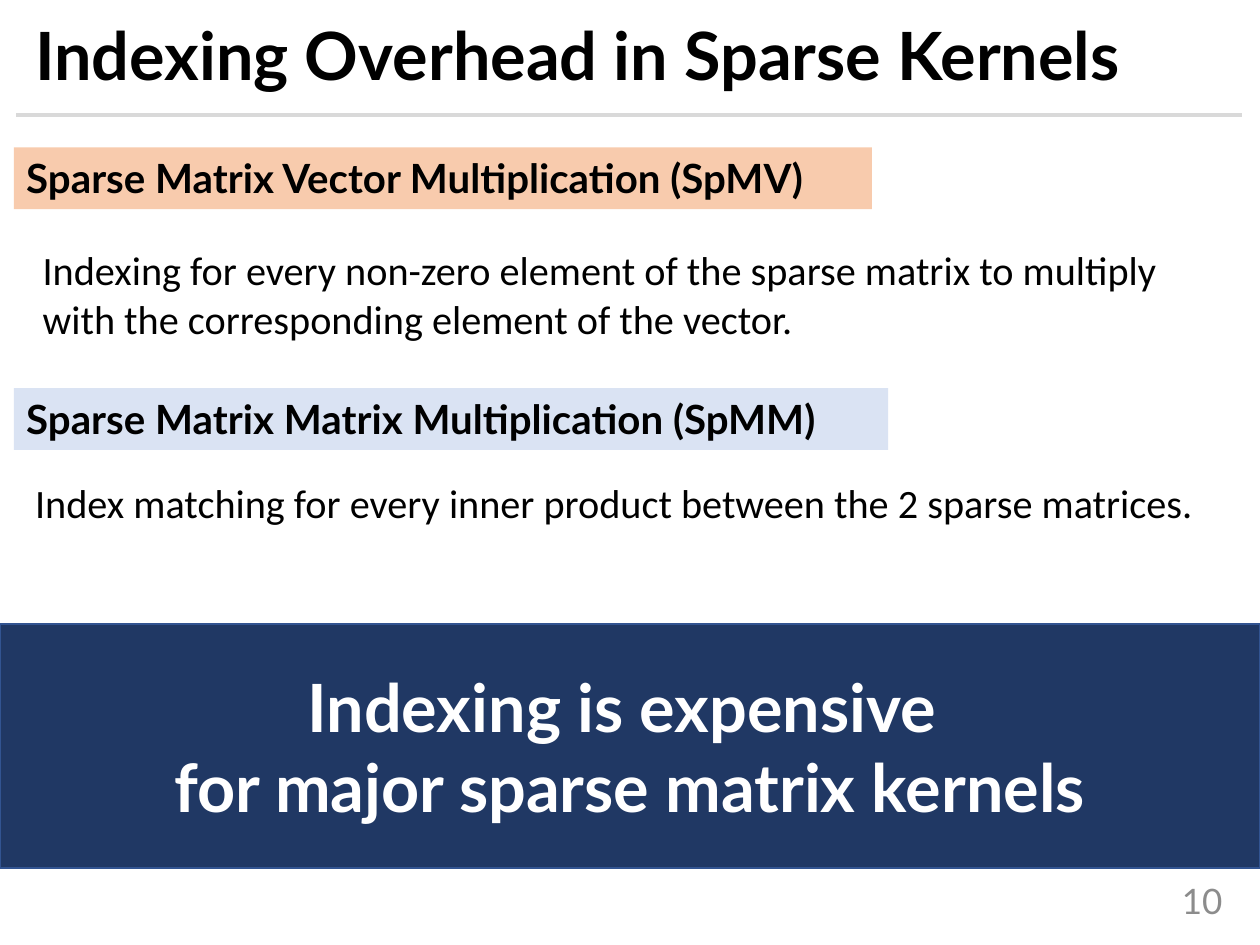
from lxml import etree
from pptx import Presentation, util as u
from pptx.dml.color import RGBColor
from pptx.enum import shapes, text
from pptx.oxml.ns import qn

HUES = {
    "ink": "000000", "white": "FFFFFF", "gray": "8C8C8C", "rule": "D9D9D9",
    "peach": "F8CBAD", "pale": "DAE3F3", "navy": "203864", "edge": "325491",
}
LEFT, MID, RIGHT = text.PP_ALIGN.LEFT, text.PP_ALIGN.CENTER, text.PP_ALIGN.RIGHT
TOP, HALF = text.MSO_ANCHOR.TOP, text.MSO_ANCHOR.MIDDLE


def hue(name):
    """Return the named colour."""
    return RGBColor.from_string(HUES[name])


def write(shape, lines, size, face="Lato", ink="ink", bold=False,
          align=LEFT, anchor=TOP, space=1.0):
    """Fill a shape with one paragraph per line."""
    frame = shape.text_frame
    frame.word_wrap = True
    frame.vertical_anchor = anchor
    for i, line in enumerate(lines):
        para = frame.add_paragraph() if i else frame.paragraphs[0]
        para.alignment = align
        para.line_spacing = space
        run = para.add_run()
        run.text = line
        font = run.font
        font.name, font.size, font.bold = face, u.Pt(size), bold
        font.color.rgb = hue(ink)


def label(slide, spot, lines, size, **style):
    """Add a plain text box."""
    box = slide.shapes.add_textbox(*map(u.Inches, spot))
    write(box, lines, size, **style)


def band(slide, spot, fill, lines, size, edge=None, **style):
    """Add a filled rectangle with bold text."""
    box = slide.shapes.add_shape(shapes.MSO_SHAPE.RECTANGLE, *map(u.Inches, spot))
    box.shadow.inherit = False
    box.fill.solid()
    box.fill.fore_color.rgb = hue(fill)
    if edge:
        box.line.color.rgb = hue(edge)
        box.line.width = u.Pt(1)
    else:
        box.line.fill.background()
    write(box, lines, size, bold=True, **style)


def rule(slide, left, right, top):
    """Add the level line under the title."""
    line = slide.shapes.add_connector(
        shapes.MSO_CONNECTOR.STRAIGHT, *map(u.Inches, (left, top, right, top)))
    line.line.color.rgb = hue("rule")
    line.line.width = u.Pt(2.25)
    etree.SubElement(line._element.spPr, qn("a:effectLst"))


def main():
    """Build and save the slide."""
    deck = Presentation()
    deck.slide_width, deck.slide_height = u.Inches(10), u.Inches(7.5)
    slide = deck.slides.add_slide(deck.slide_layouts[6])

    label(slide, (8.72, 6.95, 1.08, 0.4), ["10"], 20,
          ink="gray", align=RIGHT, anchor=HALF)
    rule(slide, 0.13, 9.86, 0.91)
    label(slide, (0.18, 0.14, 9.73, 0.66), ["Indexing Overhead in Sparse Kernels"],
          38, bold=True, anchor=HALF, space=0.9)

    band(slide, (0.11, 1.17, 6.81, 0.49), "peach",
         ["Sparse Matrix Vector Multiplication (SpMV)"], 23)
    label(slide, (0.24, 1.9, 9.44, 0.88),
          ["Indexing for every non-zero element of the sparse matrix to multiply",
           "with the corresponding element of the vector."], 23, face="Calibri")

    band(slide, (0.11, 3.08, 6.94, 0.49), "pale",
         ["Sparse Matrix Matrix Multiplication (SpMM)"], 23)
    label(slide, (0.18, 3.75, 9.69, 0.49),
          ["Index matching for every inner product between the 2 sparse matrices."],
          23, face="Calibri")

    band(slide, (0, 4.95, 10, 1.94), "navy",
         ["Indexing is expensive ", "for major sparse matrix kernels"], 38,
         edge="edge", ink="white", align=MID, anchor=HALF)
    deck.save("out.pptx")


if __name__ == "__main__":
    main()
